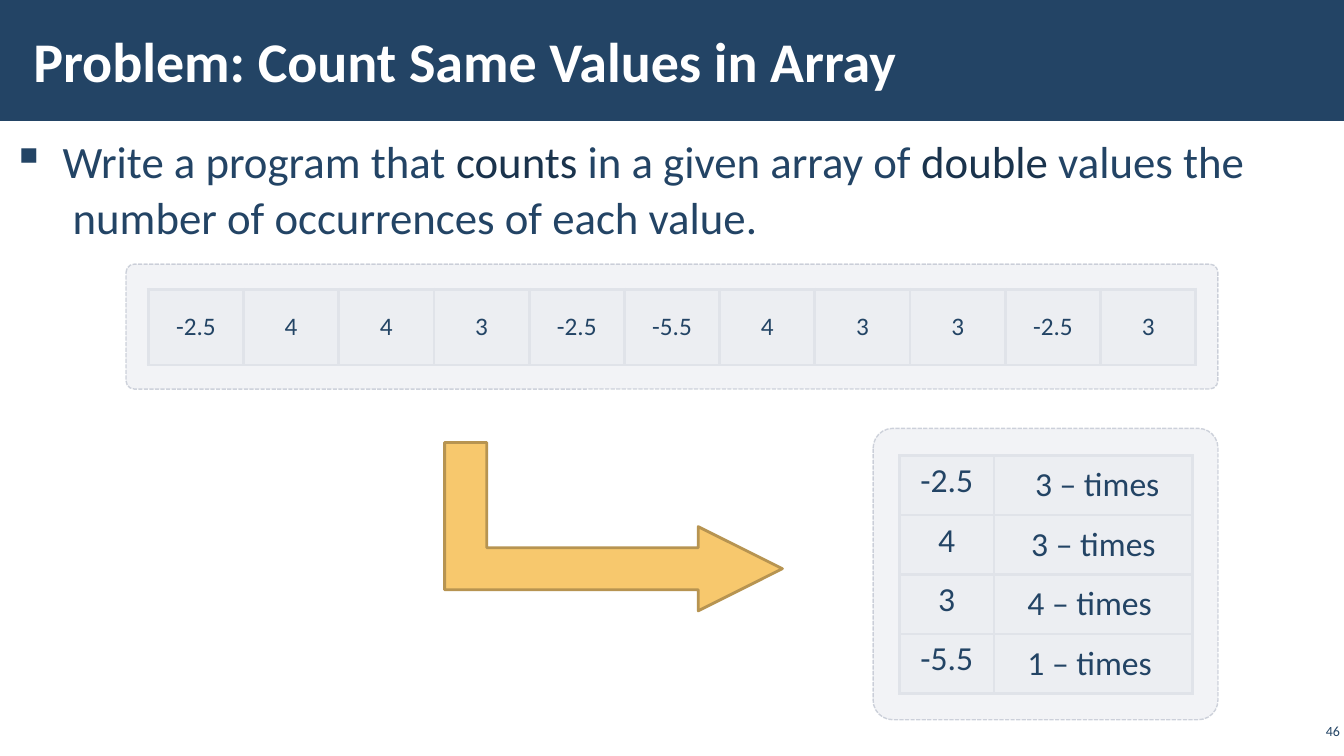
from lxml import etree
from pptx import Presentation
from pptx.dml.color import RGBColor
from pptx.enum import dml, shapes, text
from pptx.oxml import parse_xml
from pptx.oxml.ns import nsdecls, qn
from pptx.util import Inches, Pt

TITLE = "Problem: Count Same Values in Array"
PAGE = "46"
TASK = [
    ("Write a program that ", "navy"),
    ("counts", "dark"),
    (" in a given array of ", "navy"),
    ("double", "dark"),
    (" values the", "navy"),
    None,  # line break
    (" number of occurrences of each value.", "navy"),
]
VALUES = [["-2.5", "4", "4", "3", "-2.5", "-5.5", "4", "3", "3", "-2.5", "3"]]
COUNTS = [
    ["-2.5", " 3 – times"],
    ["4", "3 – times"],
    ["3", "4 – times "],
    ["-5.5", "1 – times "],
]
COLORS = {
    "navy": "234465", "dark": "1A334C", "white": "FFFFFF",
    "panel": "C2C7D2", "panel_line": "A3ABBC", "cell": "E0E3E9",
    "arrow": "F7C86D", "arrow_line": "B79451",
}
FONT = "Calibri"
MIDDLE, TOP = text.MSO_ANCHOR.MIDDLE, text.MSO_ANCHOR.TOP
ALIGN = text.PP_ALIGN


def rgb(name):
    return RGBColor.from_string(COLORS[name])


def add_run(p, words, size, color="navy", bold=False):
    r = p.add_run()
    r.text = words
    r.font.name, r.font.size, r.font.bold = FONT, Pt(size), bold
    r.font.color.rgb = rgb(color)


def set_frame(tf, anchor, side=0.12):
    tf.word_wrap, tf.auto_size = True, text.MSO_AUTO_SIZE.NONE
    tf.vertical_anchor = anchor
    tf.margin_left = tf.margin_right = Inches(side)
    tf.margin_top = tf.margin_bottom = Inches(0.04)
    return tf.paragraphs[0]


def set_fill(fill, color, opacity=100):
    fill.solid()
    fill.fore_color.rgb = rgb(color)
    if opacity < 100:
        set_opacity(fill._xPr.find(qn("a:solidFill")), opacity)


def set_opacity(solid_fill, percent):
    etree.SubElement(solid_fill[0], qn("a:alpha"), val=str(percent * 1000))


def add_shape(slide, kind, box, color, opacity=100):
    sp = slide.shapes.add_shape(kind, *map(Inches, box))
    sp.shadow.inherit = False
    set_fill(sp.fill, color, opacity)
    sp.line.fill.background()
    return sp


def add_panel(slide, box):
    sp = add_shape(slide, shapes.MSO_SHAPE.ROUNDED_RECTANGLE, box, "panel", 20)
    sp.adjustments[0] = 0.067
    sp.line.color.rgb = rgb("panel_line")
    sp.line.width = Pt(1)
    sp.line.dash_style = dml.MSO_LINE.SQUARE_DOT
    set_opacity(sp.line._ln.find(qn("a:solidFill")), 50)


def add_borders(cell):
    for i, side in enumerate("LRTB"):
        cell._tc.get_or_add_tcPr().insert(i, parse_xml(
            f'<a:ln{side} {nsdecls("a")} w="{Pt(2.25)}"><a:solidFill>'
            f'<a:srgbClr val="{COLORS["cell"]}"/></a:solidFill></a:ln{side}>'))


def add_grid(slide, rows, left, top, widths, height, size, anchors):
    """Draw rows as a plain table; anchors holds one entry per column."""
    table = slide.shapes.add_table(
        len(rows), len(widths), Inches(left), Inches(top),
        Inches(sum(widths)), Inches(height * len(rows))).table
    table.first_row = table.horz_banding = False
    for column, width in zip(table.columns, widths):
        column.width = Inches(width)
    for i, row in enumerate(rows):
        for j, words in enumerate(row):
            cell = table.cell(i, j)
            cell.vertical_anchor = anchors[j]
            set_fill(cell.fill, "cell", 30)
            add_borders(cell)
            p = cell.text_frame.paragraphs[0]
            p.alignment = ALIGN.CENTER
            add_run(p, words, size)


def add_title(slide):
    band = add_shape(slide, shapes.MSO_SHAPE.RECTANGLE, (0, 0, 13.33, 1.2), "navy")
    slide.shapes._spTree.insert(2, band._element)
    sp = slide.shapes.title
    sp.left, sp.top, sp.width, sp.height = map(Inches, (0.21, 0.11, 10.39, 0.97))
    p = set_frame(sp.text_frame, MIDDLE)
    p.alignment = ALIGN.LEFT
    add_run(p, TITLE, 40, "white", True)


def add_task(slide):
    sp = slide.shapes.add_textbox(*map(Inches, (0, 1.26, 12.91, 6.09)))
    p = set_frame(sp.text_frame, TOP)
    p.line_spacing = 1.05
    p.space_before = p.space_after = Pt(6)
    pPr = p._p.get_or_add_pPr()
    pPr.set("marL", str(Inches(0.5)))
    pPr.set("indent", str(-Inches(0.5)))
    etree.SubElement(pPr, qn("a:buChar"), char="▪")
    for part in TASK:
        if part is None:
            p.add_line_break()
        else:
            add_run(p, part[0], 32, part[1])


def add_page_number(slide):
    sp = slide.shapes.add_textbox(*map(Inches, (12.86, 7.14, 0.47, 0.22)))
    p = set_frame(sp.text_frame, MIDDLE, 0.04)
    p.alignment = ALIGN.RIGHT
    add_run(p, PAGE, 10)


def main():
    prs = Presentation()
    prs.slide_width, prs.slide_height = Inches(13.33), Inches(7.5)
    slide = prs.slides.add_slide(prs.slide_layouts.get_by_name("Title Only"))
    add_title(slide)
    add_page_number(slide)
    add_task(slide)

    add_panel(slide, (1.25, 2.62, 10.83, 1.24))
    count = len(VALUES[0])
    add_grid(slide, VALUES, 1.47, 2.87, [10.39 / count] * count, 0.75, 18,
             [MIDDLE] * count)
    add_panel(slide, (8.66, 4.25, 3.42, 2.89))
    add_grid(slide, COUNTS, 8.92, 4.52, [0.94, 1.97], 0.59, 24, [TOP, MIDDLE])

    arrow = add_shape(slide, shapes.MSO_SHAPE.BENT_UP_ARROW,
                      (5.25, 3.55, 1.67, 3.35), "arrow")
    arrow.rotation = 90
    for i, value in enumerate((0.25, 0.25, 0.5)):
        arrow.adjustments[i] = value
    arrow.line.color.rgb = rgb("arrow_line")
    arrow.line.width = Pt(2)
    prs.save("out.pptx")


if __name__ == "__main__":
    main()
